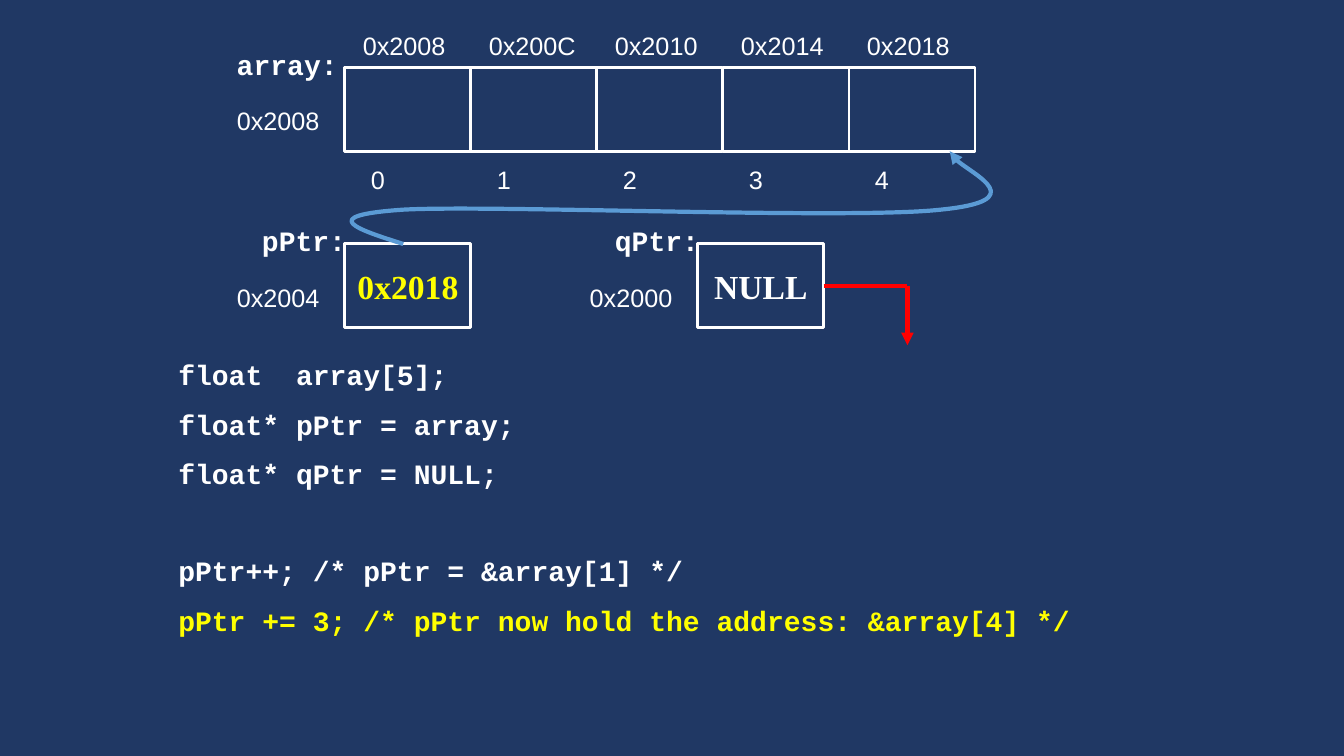
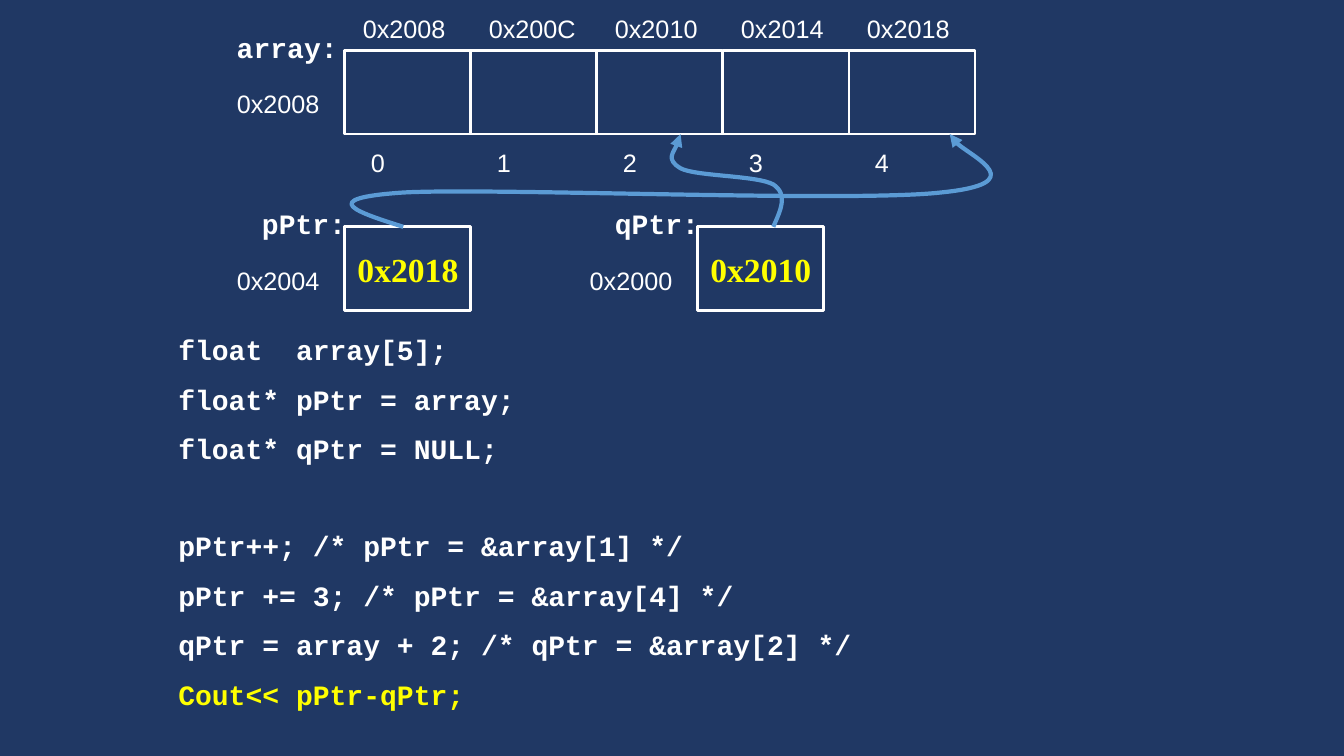
from dataclasses import dataclass
from typing import Any, NamedTuple

from lxml.etree import SubElement
from pptx import Presentation
from pptx.dml.color import RGBColor as RGB
from pptx.enum.shapes import MSO_CONNECTOR as CONN, MSO_SHAPE as SHAPE
from pptx.enum.text import MSO_ANCHOR as ANCHOR, MSO_AUTO_SIZE as AUTO, PP_ALIGN as ALIGN
from pptx.oxml.ns import qn
from pptx.util import Inches, Pt


@dataclass(frozen=True)
class Theme:
    back: RGB = RGB(0x20, 0x38, 0x64)
    text: RGB = RGB(0xFF, 0xFF, 0xFF)
    accent: RGB = RGB(0xFF, 0xFF, 0x00)
    curve: RGB = RGB(0x5B, 0x9B, 0xD5)
    null: RGB = RGB(0xFF, 0x00, 0x00)
    box_line: float = 2
    arrow_line: float = 3
    code_gap: float = 11.35
    code_line: float = 22.65


THEME = Theme()
CODE = {"name": "Courier New", "size": Pt(20), "bold": True}
LABEL = {"name": "Arial", "size": Pt(18), "bold": False}
VALUE = {"name": "Times New Roman", "size": Pt(24), "bold": True}
LABEL_FRAME = {"word_wrap": True, "auto_size": AUTO.SHAPE_TO_FIT_TEXT}
VALUE_FRAME = {"word_wrap": False, "vertical_anchor": ANCHOR.MIDDLE}

CELL_W, CELL_H = 1.25, 0.83
ARRAY_X, PPTR_X, QPTR_X = 3.42, 3.42, 6.92
POINTER_DROP = 1.75
ADDRESSES = ("0x2008", "0x200C", "0x2010", "0x2014", "0x2018")
DECLARATIONS = ("float  array[5];", "float* pPtr = array;", "float* qPtr = NULL;")

Points = tuple[tuple[float, float], ...]
TO_LAST: Points = (
    (4, 0), (3.56, -0.14), (3.11, -0.28), (4, -0.34), (4.89, -0.39),
    (8.43, -0.24), (9.33, -0.34), (10.24, -0.43), (9.4, -0.82), (9.42, -0.92),
)
TO_THIRD: Points = (
    (7.67, 0), (7.74, -0.16), (7.82, -0.32), (7.67, -0.42), (7.51, -0.51),
    (6.9, -0.5), (6.75, -0.58), (6.6, -0.67), (6.75, -0.86), (6.75, -0.92),
)


class Pointer(NamedTuple):
    name: str
    address: str
    value: str
    x: float
    curve: Points = ()


class MemorySlide(NamedTuple):
    top: float
    code_top: float
    code_height: float
    pointers: tuple[Pointer, ...]
    steps: tuple[str, ...]


P_PTR = Pointer("pPtr:", "0x2004", "0x2018", PPTR_X, TO_LAST)
SLIDES = (
    MemorySlide(
        0.67, 3.5, 3.43,
        (P_PTR, Pointer("qPtr:", "0x2000", "NULL", QPTR_X)),
        ("pPtr++; /* pPtr = &array[1] */",
         "pPtr += 3; /* pPtr now hold the address: &array[4] */"),
    ),
    MemorySlide(
        0.5, 3.25, 3.93,
        (P_PTR, Pointer("qPtr:", "0x2000", "0x2010", QPTR_X, TO_THIRD)),
        ("pPtr++; /* pPtr = &array[1] */",
         "pPtr += 3; /* pPtr = &array[4] */",
         "qPtr = array + 2; /* qPtr = &array[2] */",
         "Cout<< pPtr-qPtr;"),
    ),
)


def apply(target: Any, formats: dict[str, Any]) -> None:
    for name, value in formats.items():
        setattr(target, name, value)


def write(p: Any, text: str, font: dict[str, Any], color: RGB) -> None:
    r = p.add_run()
    r.text = text
    apply(r.font, font)
    r.font.color.rgb = color


def stroke(sp: Any, color: RGB, width: float, arrow: bool = False) -> None:
    sp.line.color.rgb = color
    sp.line.width = Pt(width)
    if arrow:
        SubElement(sp.element.spPr.find(qn("a:ln")), qn("a:tailEnd"), type="triangle")


def add_label(s: Any, text: str, x: float, y: float, w: float = 1.08,
              h: float = 0.4, font: dict[str, Any] = LABEL) -> None:
    tf = s.shapes.add_textbox(Inches(x), Inches(y), Inches(w), Inches(h)).text_frame
    apply(tf, LABEL_FRAME)
    write(tf.paragraphs[0], text, font, THEME.text)


def add_cell(s: Any, x: float, y: float, value: str = "") -> None:
    sp = s.shapes.add_shape(SHAPE.RECTANGLE, Inches(x), Inches(y),
                            Inches(CELL_W), Inches(CELL_H))
    sp.shadow.inherit = False
    sp.fill.background()
    stroke(sp, THEME.text, THEME.box_line)
    if value:
        tf = sp.text_frame
        apply(tf, VALUE_FRAME)
        p = tf.paragraphs[0]
        p.alignment = ALIGN.CENTER
        write(p, value, VALUE, THEME.text if value == "NULL" else THEME.accent)


def add_names(s: Any, name: str, address: str, x: float, y: float,
              indent: float, width: float) -> None:
    add_label(s, address, x - 1.17, y + 0.33)
    add_label(s, name, x - indent, y - 0.25, width, 0.43, CODE)


def add_curve(s: Any, points: Points, y: float) -> None:
    start, *rest = [(Inches(px), Inches(y + py)) for px, py in points]
    builder = s.shapes.build_freeform(*start)
    builder.add_line_segments(rest, close=False)
    sp = builder.convert_to_shape()
    sp.shadow.inherit = False
    sp.fill.background()
    stroke(sp, THEME.curve, THEME.arrow_line, arrow=True)
    segments = list(sp.element.iter(qn("a:lnTo")))
    outline = segments[0].getparent()
    for i in range(0, len(segments), 3):
        bezier = SubElement(outline, qn("a:cubicBezTo"))
        for segment in segments[i:i + 3]:
            bezier.append(segment[0])
            outline.remove(segment)


def add_null_arrow(s: Any, x: float, y: float) -> None:
    corners = ((x, y), (x + 0.83, y), (x + 0.83, y + 0.59))
    for i, (begin, end) in enumerate(zip(corners, corners[1:])):
        sp = s.shapes.add_connector(CONN.STRAIGHT, *map(Inches, begin + end))
        stroke(sp, THEME.null, THEME.arrow_line, arrow=i == 1)
        SubElement(sp.element.spPr, qn("a:effectLst"))


def add_array(s: Any, top: float) -> None:
    for i, address in enumerate(ADDRESSES):
        x = ARRAY_X + i * CELL_W
        add_cell(s, x, top)
        add_label(s, address, x + 0.08, top - 0.42)
        add_label(s, str(i), x + 0.16, top + 0.91, 0.33)
    add_names(s, "array:", ADDRESSES[0], ARRAY_X, top, 1.17, 1.33)


def add_pointer(s: Any, pointer: Pointer, y: float) -> None:
    add_cell(s, pointer.x, y, pointer.value)
    add_names(s, pointer.name, pointer.address, pointer.x, y, 0.92, 1.08)
    if pointer.curve:
        add_curve(s, pointer.curve, y)
    else:
        add_null_arrow(s, pointer.x + CELL_W, y + CELL_H / 2)


def add_code(s: Any, slide: MemorySlide) -> None:
    tf = s.shapes.add_textbox(Inches(1.67), Inches(slide.code_top),
                              Inches(10), Inches(slide.code_height)).text_frame
    apply(tf, LABEL_FRAME)
    lines = DECLARATIONS + slide.steps
    for i, line in enumerate(lines):
        p = tf.add_paragraph() if i else tf.paragraphs[0]
        if i == len(DECLARATIONS):
            p.space_before = Pt(2 * THEME.code_gap + THEME.code_line)
        elif i:
            p.space_before = Pt(THEME.code_gap)
        write(p, line, CODE, THEME.accent if line == lines[-1] else THEME.text)


def main() -> None:
    prs = Presentation()
    prs.slide_width, prs.slide_height = Inches(13.33), Inches(7.5)
    fill = prs.slide_master.background.fill
    fill.solid()
    fill.fore_color.rgb = THEME.back
    for slide in SLIDES:
        s = prs.slides.add_slide(prs.slide_layouts[6])
        add_code(s, slide)
        add_array(s, slide.top)
        for pointer in slide.pointers:
            add_pointer(s, pointer, slide.top + POINTER_DROP)
    prs.save("out.pptx")


if __name__ == "__main__":
    main()
